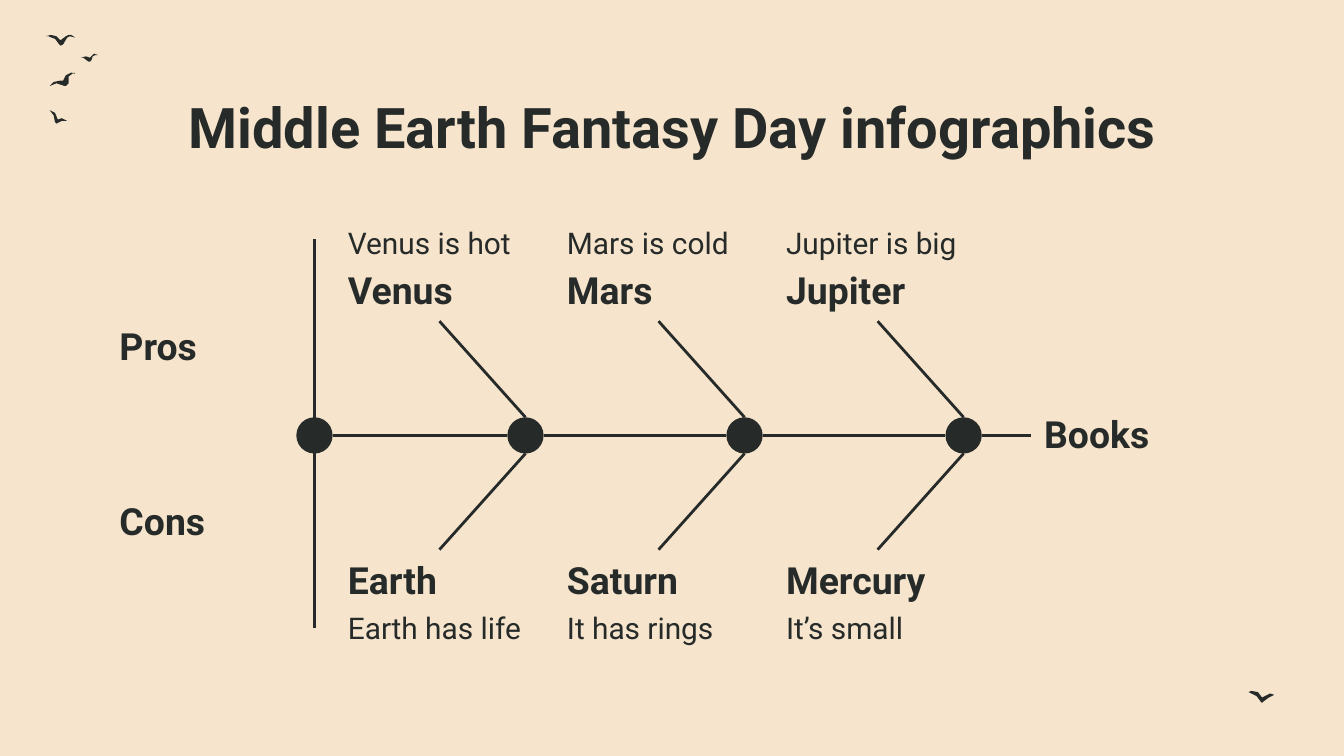
from lxml.etree import SubElement
from pptx import Presentation
from pptx.dml.color import RGBColor
from pptx.enum.shapes import MSO_CONNECTOR as CONNECTOR, MSO_SHAPE as SHAPE
from pptx.enum.text import MSO_ANCHOR as ANCHOR, PP_ALIGN as ALIGN
from pptx.oxml.ns import qn
from pptx.util import Inches, Pt

COLORS = {"paper": "F6E5CC", "ink": "262A29"}
FONT = "Roboto"
SPINE_Y = 3.24
DOT = 0.27
FIRST_X, STEP = 3.91, 1.63
BRANCHES = [
    ("Venus", "Venus is hot", "Earth", "Earth has life"),
    ("Mars", "Mars is cold", "Saturn", "It has rings"),
    ("Jupiter", "Jupiter is big", "Mercury", "It’s small"),
]
BIRDS = [
    [(51, 26), (49, 27), (45, 30), (42, 27), (38, 26), (34, 27), (36, 27), (41, 29),
     (44, 33), (45, 34), (47, 33), (50, 28), (52, 27), (56, 28), (53, 26)],
    [(53, 54), (49, 56), (47, 60), (45, 60), (40, 61), (37, 64), (42, 62), (48, 64),
     (49, 64), (51, 62), (51, 57), (55, 54), (56, 55)],
    [(37, 82), (40, 86), (41, 91), (42, 92), (46, 90), (48, 90), (50, 90), (46, 88),
     (43, 89), (41, 84)],
    [(70, 40), (69, 41), (67, 43), (64, 42), (60, 43), (62, 43), (66, 46), (67, 46),
     (68, 45), (69, 42), (71, 41), (73, 41)],
    [(931, 514), (929, 515), (935, 518), (938, 522), (939, 523), (940, 522), (944, 519),
     (948, 517), (945, 516), (943, 517), (939, 519), (936, 515)],
]


def rgb(name):
    """Return the named colour."""
    return RGBColor.from_string(COLORS[name])


def fill_plain(sp):
    """Fill a shape with ink, without outline or shadow."""
    sp.shadow.inherit = False
    sp.fill.solid()
    sp.fill.fore_color.rgb = rgb("ink")
    sp.line.fill.background()


def add_bird(s, points):
    """Draw a bird from points in hundredths of an inch."""
    builder = s.shapes.build_freeform(*points[0], scale=Inches(0.01))
    builder.add_line_segments(points[1:], close=True)
    fill_plain(builder.convert_to_shape())


def add_dot(s, x):
    """Draw a joint centred on the spine."""
    fill_plain(s.shapes.add_shape(
        SHAPE.OVAL, Inches(x - DOT / 2), Inches(SPINE_Y - DOT / 2), Inches(DOT), Inches(DOT)))


def add_line(s, x1, y1, x2, y2):
    """Draw a straight line."""
    line = s.shapes.add_connector(
        CONNECTOR.STRAIGHT, Inches(x1), Inches(y1), Inches(x2), Inches(y2))
    line.line.color.rgb = rgb("ink")
    line.line.width = Pt(1.5)
    SubElement(line._element.spPr, qn("a:effectLst"))


def add_text(s, text, x, y, w=1.55, h=0.5, size=20, bold=True,
             anchor=ANCHOR.BOTTOM, align=ALIGN.LEFT):
    """Add a text box with one line of text."""
    tf = s.shapes.add_textbox(Inches(x), Inches(y), Inches(w), Inches(h)).text_frame
    tf.word_wrap = True
    tf.vertical_anchor = anchor
    tf.margin_left = tf.margin_right = tf.margin_top = tf.margin_bottom = Inches(0.1)
    p = tf.paragraphs[0]
    p.alignment = align
    r = p.add_run()
    r.text = text
    r.font.name, r.font.size, r.font.bold = FONT, Pt(size), bold
    r.font.color.rgb = rgb("ink")


def add_branch(s, x, pro, pro_note, con, con_note):
    """Draw a joint with its upper and lower ribs and their labels."""
    for side in (-1, 1):
        add_line(s, x - 0.64, SPINE_Y + side * 0.85, x, SPINE_Y + side * DOT / 2)
    add_dot(s, x)
    left = x - 1.42
    add_text(s, pro, left, 1.89, anchor=ANCHOR.TOP)
    add_text(s, pro_note, left, 1.61, h=0.43, size=16, bold=False)
    add_text(s, con, left, 4.08)
    add_text(s, con_note, left, 4.44, h=0.43, size=16, bold=False, anchor=ANCHOR.TOP)


def main():
    """Build the fishbone slide."""
    prs = Presentation()
    prs.slide_width, prs.slide_height = Inches(10), Inches(10 * 9 / 16)
    s = prs.slides.add_slide(prs.slide_layouts[6])
    s.background.fill.solid()
    s.background.fill.fore_color.rgb = rgb("paper")
    for points in BIRDS:
        add_bird(s, points)
    add_text(s, "Middle Earth Fantasy Day infographics", 0.79, 0.59, w=8.43, h=0.63,
             size=30, anchor=ANCHOR.TOP, align=ALIGN.CENTER)
    for text, x, y in [("Pros", 0.79, 2.34), ("Cons", 0.79, 3.64), ("Books", 7.67, 2.99)]:
        add_text(s, text, x, y)
    add_line(s, 2.34, 1.78, 2.34, 4.67)
    add_dot(s, 2.34)
    joints = [FIRST_X + i * STEP for i in range(len(BRANCHES))]
    starts = [2.34] + joints
    ends = [x - DOT / 2 for x in joints] + [7.67]
    for start, end in zip(starts, ends):
        add_line(s, start + DOT / 2, SPINE_Y, end, SPINE_Y)
    for x, labels in zip(joints, BRANCHES):
        add_branch(s, x, *labels)
    prs.save("out.pptx")


if __name__ == "__main__":
    main()
